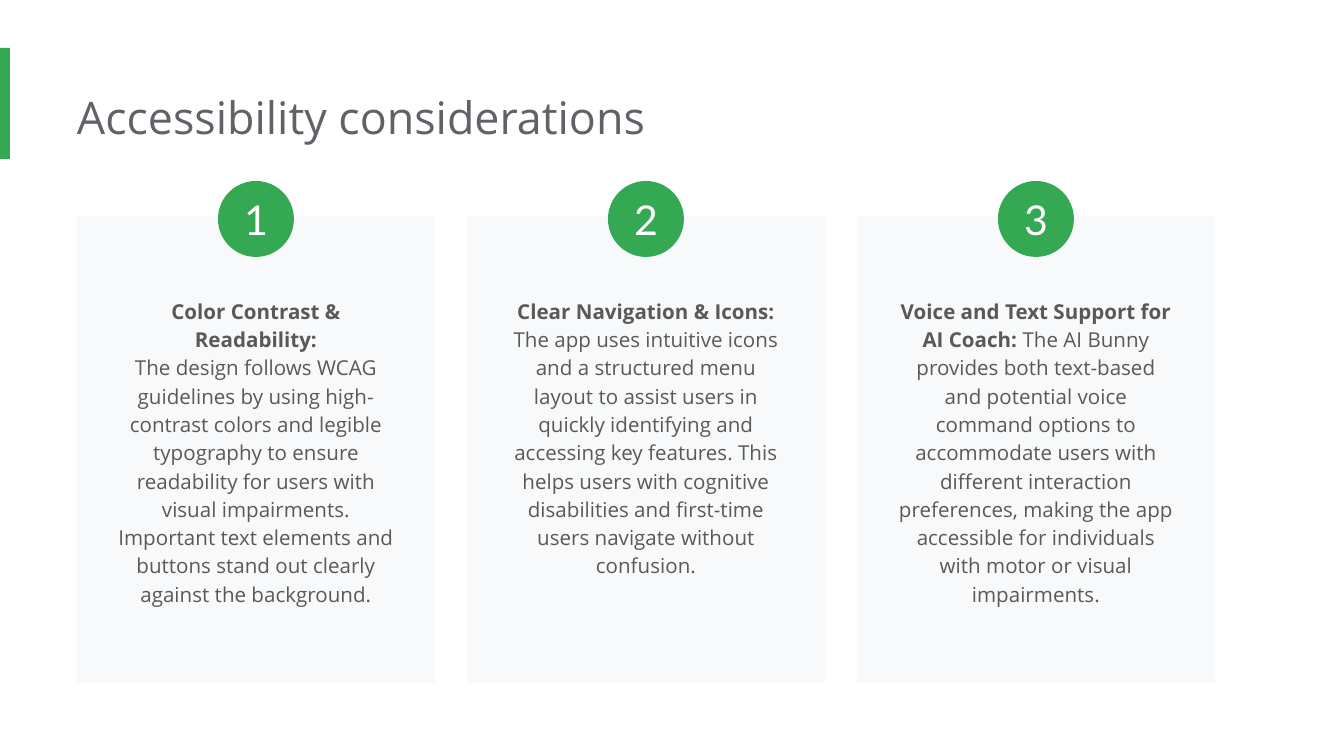
from pptx import Presentation
from pptx.dml.color import RGBColor
from pptx.enum.shapes import MSO_SHAPE
from pptx.enum.text import MSO_ANCHOR, PP_ALIGN

RECTANGLE, OVAL = MSO_SHAPE.RECTANGLE, MSO_SHAPE.OVAL
TOP, MIDDLE = MSO_ANCHOR.TOP, MSO_ANCHOR.MIDDLE
LEFT, CENTER = PP_ALIGN.LEFT, PP_ALIGN.CENTER

GREEN = RGBColor(0x34, 0xA8, 0x53)
CARD_GRAY = RGBColor(0xF8, 0xF9, 0xFA)
TITLE_GRAY = RGBColor(0x5F, 0x63, 0x68)
TEXT_GRAY = RGBColor(0x59, 0x59, 0x59)
WHITE = RGBColor(0xFF, 0xFF, 0xFF)

PX = 6804  # EMU per px
PT = 12700  # EMU per point
INSET = 13 * PX

CARD_LEFT, CARD_TOP, CARD_WIDTH, CARD_HEIGHT = 77, 216, 358, 467
CARD_PITCH = 390
BADGE_SIZE = 76
TEXT_WIDTH = 302

# Each card holds paragraphs of (bold text, plain text)
CARDS = [
    [("Color Contrast & Readability:", ""),
     ("", "The design follows WCAG guidelines by using high-contrast colors and "
          "legible typography to ensure readability for users with visual "
          "impairments. Important text elements and buttons stand out clearly "
          "against the background.")],
    [("Clear Navigation & Icons: ",
      "The app uses intuitive icons and a structured menu layout to assist users "
      "in quickly identifying and accessing key features. This helps users with "
      "cognitive disabilities and first-time users navigate without confusion.")],
    [("Voice and Text Support for AI Coach:",
      " The AI Bunny provides both text-based and potential voice command options "
      "to accommodate users with different interaction preferences, making the "
      "app accessible for individuals with motor or visual impairments.")],
]


def add_filled_shape(kind, left, top, width, height, color):
    shape = slide.shapes.add_shape(kind, left * PX, top * PX, width * PX, height * PX)
    shape.shadow.inherit = False
    shape.fill.solid()
    shape.fill.fore_color.rgb = color
    shape.line.fill.background()
    return shape


def format_font(font, name, size, color):
    font.name = name
    font.size = size * PT
    font.color.rgb = color


presentation = Presentation()
presentation.slide_width = 1344 * PX
presentation.slide_height = 756 * PX
slide = presentation.slides.add_slide(presentation.slide_layouts[5])

# Accent bar
add_filled_shape(RECTANGLE, 0, 48, 10, 111, GREEN)

# Title
title = slide.shapes.title
title.left, title.top, title.width, title.height = 77 * PX, 77 * PX, 1030 * PX, 82 * PX
title_frame = title.text_frame
title_frame.text = "Accessibility considerations"
title_frame.vertical_anchor = TOP
title_frame.margin_left = 0
title_frame.margin_top = title_frame.margin_right = title_frame.margin_bottom = INSET
title_frame.paragraphs[0].alignment = LEFT
format_font(title_frame.paragraphs[0].runs[0].font, "Open Sans", 24, TITLE_GRAY)

for index, paragraphs in enumerate(CARDS):
    left = CARD_LEFT + index * CARD_PITCH

    # Card
    add_filled_shape(RECTANGLE, left, CARD_TOP, CARD_WIDTH, CARD_HEIGHT, CARD_GRAY)

    # Card text
    text_left = left + (CARD_WIDTH - TEXT_WIDTH) // 2
    text_box = slide.shapes.add_textbox(text_left * PX, 282 * PX, TEXT_WIDTH * PX, 367 * PX)
    frame = text_box.text_frame
    frame.word_wrap = True
    frame.margin_left = frame.margin_top = frame.margin_right = frame.margin_bottom = INSET
    for number, parts in enumerate(paragraphs):
        paragraph = frame.add_paragraph() if number else frame.paragraphs[0]
        paragraph.alignment = CENTER
        paragraph.line_spacing = 1.15
        for text, bold in zip(parts, (True, False)):
            if text:
                run = paragraph.add_run()
                run.text = text
                run.font.bold = bold
                format_font(run.font, "Open Sans", 11, TEXT_GRAY)

    # Number badge
    badge_left = left + (CARD_WIDTH - BADGE_SIZE) // 2
    badge = add_filled_shape(OVAL, badge_left, 181, BADGE_SIZE, BADGE_SIZE, GREEN)
    frame = badge.text_frame
    frame.text = str(index + 1)
    frame.vertical_anchor = MIDDLE
    frame.margin_left = frame.margin_top = frame.margin_right = frame.margin_bottom = 0
    frame.paragraphs[0].alignment = CENTER
    format_font(frame.paragraphs[0].runs[0].font, "Lato", 22, WHITE)

presentation.save("out.pptx")
